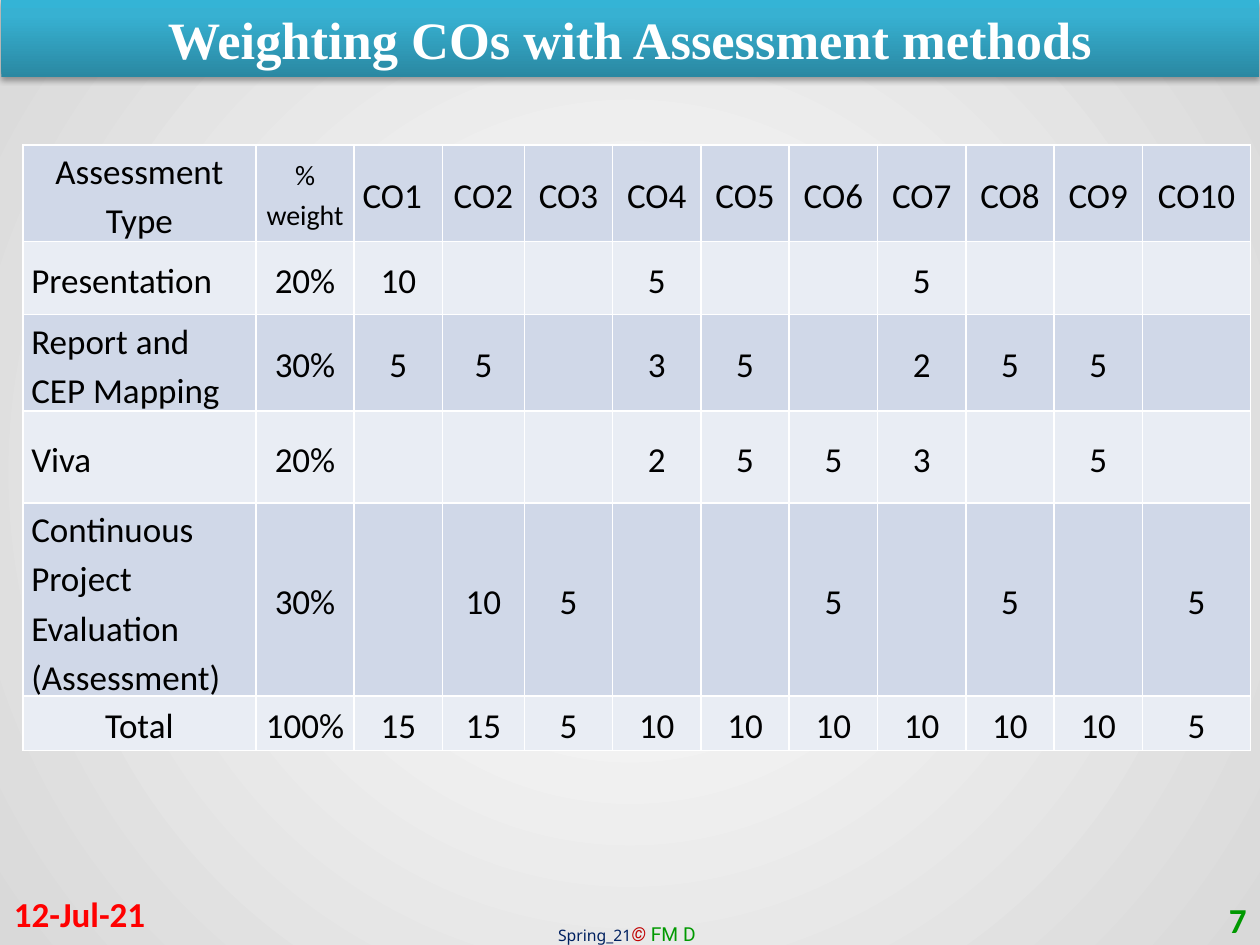
from pptx import Presentation
from pptx.dml.color import RGBColor
from pptx.enum.text import MSO_ANCHOR as Anchor, MSO_AUTO_SIZE as AutoSize, PP_ALIGN as Align
from pptx.oxml import parse_xml
from pptx.util import Cm, Pt

WHITE = RGBColor(0xFF, 0xFF, 0xFF)
BLACK = RGBColor(0x00, 0x00, 0x00)
GREY = RGBColor(0xD9, 0xD9, 0xD9)
TEAL_DARK = RGBColor(0x2A, 0x88, 0xA2)
TEAL = RGBColor(0x37, 0xB1, 0xD2)
TEAL_LIGHT = RGBColor(0x34, 0xB4, 0xD6)
BAND_DARK = RGBColor(0xD0, 0xD8, 0xE8)
BAND_LIGHT = RGBColor(0xE9, 0xED, 0xF4)
RED = RGBColor(0xFF, 0x00, 0x00)
DARK_RED = RGBColor(0xC0, 0x00, 0x00)
NAVY = RGBColor(0x00, 0x20, 0x60)
GREEN = RGBColor(0x00, 0x99, 0x00)

NS = 'xmlns:a="http://schemas.openxmlformats.org/drawingml/2006/main"'
COLUMNS = [4.7, 1.98, 1.78, 1.65] + [1.78] * 7 + [2.18]
ROWS = [1.68, 1.47, 1.85, 1.85, 2.24, 1.09]
SPACED_ROWS = (0, 1, 5)
WEIGHTS = [
    ["Assessment Type", "% weight"] + [f"CO{n}" for n in range(1, 11)],
    ["Presentation", "20%", "10", "", "", "5", "", "", "5", "", "", ""],
    ["Report and CEP Mapping", "30%", "5", "5", "", "3", "5", "", "2", "5", "5", ""],
    ["Viva", "20%", "", "", "", "2", "5", "5", "3", "", "5", ""],
    ["Continuous Project Evaluation (Assessment)", "30%",
     "", "10", "5", "", "", "5", "", "5", "", "5"],
    ["Total", "100%", "15", "15", "5", "10", "10", "10", "10", "10", "10", "5"],
]


def gradient(stops, direction):
    marks = "".join(f'<a:gs pos="{pos * 1000}"><a:srgbClr val="{color}"/></a:gs>'
                    for pos, color in stops)
    return parse_xml(f'<a:gradFill {NS} rotWithShape="1"><a:gsLst>{marks}</a:gsLst>'
                     f'{direction}</a:gradFill>')


def add_span(para, text, color, **formats):
    span = para.add_run()
    span.text = text
    span.font.color.rgb = color
    for key, value in formats.items():
        setattr(span.font, key, value)


def place(shape, box):
    for key, value in zip(("left", "top", "width", "height"), box):
        setattr(shape, key, Cm(value))


def fill_background(page):
    page.background.fill.solid()
    props = page.element.xpath(".//p:bgPr")[0]
    center = '<a:path path="circle"><a:fillToRect l="50000" t="50000" r="50000" b="50000"/></a:path>'
    props.replace(props[0], gradient([(0, WHITE), (100, GREY)], center))


def add_title(page, box):
    title = page.shapes.title
    place(title, box)
    props = title.element.spPr
    props.append(gradient([(0, TEAL_DARK), (80, TEAL), (100, TEAL_LIGHT)],
                          '<a:lin ang="16200000" scaled="0"/>'))
    props.append(parse_xml(
        f'<a:effectLst {NS}><a:outerShdw blurRad="40000" dist="23000" dir="5400000" '
        'rotWithShape="0"><a:srgbClr val="000000"><a:alpha val="35000"/></a:srgbClr>'
        '</a:outerShdw></a:effectLst>'))
    frame = title.text_frame
    frame.vertical_anchor = Anchor.MIDDLE
    frame.auto_size = AutoSize.NONE
    para = frame.paragraphs[0]
    para.alignment = Align.CENTER
    add_span(para, "Weighting COs with Assessment methods", WHITE,
             size=Pt(30), name="Times New Roman", bold=True)


def add_label(page, box, spans, align=Align.LEFT, wrap=True, anchor=Anchor.MIDDLE):
    frame = page.shapes.add_textbox(*map(Cm, box)).text_frame
    frame.word_wrap = wrap
    frame.vertical_anchor = anchor
    para = frame.paragraphs[0]
    para.alignment = align
    for text, color, formats in spans:
        add_span(para, text, color, **formats)


def add_borders(cell):
    props = cell._tc.get_or_add_tcPr()
    # Borders come before the fill
    for index, side in enumerate(("lnL", "lnR", "lnT", "lnB")):
        props.insert(index, parse_xml(
            f'<a:{side} {NS} w="12700"><a:solidFill><a:srgbClr val="{WHITE}"/>'
            f'</a:solidFill></a:{side}>'))


def write_cell(cell, text, row, column):
    formats = {"margin_left": Cm(0.17), "margin_right": Cm(0.17), "margin_top": 0,
               "margin_bottom": 0, "vertical_anchor": Anchor.MIDDLE}
    for key, value in formats.items():
        setattr(cell, key, value)
    para = cell.text_frame.paragraphs[0]
    is_left = text == "CO1" or (column == 0 and 0 < row < len(ROWS) - 1)
    para.alignment = Align.LEFT if is_left else Align.CENTER
    para.line_spacing = 1.15
    para.space_after = Pt(10 if row in SPACED_ROWS and text != "Total" else 0)
    add_span(para, text, BLACK, size=Pt(16 if text == "% weight" else 20), name="Calibri")


def add_weights(page, box):
    holder = page.shapes.add_table(len(ROWS), len(COLUMNS), *map(Cm, box))
    table = holder.table
    table.first_row = table.horz_banding = False
    for column, width in zip(table.columns, COLUMNS):
        column.width = Cm(width)
    for row, height in zip(table.rows, ROWS):
        row.height = Cm(height)
    holder.height = Cm(box[3])
    for row, texts in enumerate(WEIGHTS):
        for column, text in enumerate(texts):
            cell = table.cell(row, column)
            cell.fill.solid()
            cell.fill.fore_color.rgb = BAND_LIGHT if row % 2 else BAND_DARK
            add_borders(cell)
            if text:
                write_cell(cell, text, row, column)


def add_footer(page):
    bold = {"size": Pt(20), "name": "Calibri", "bold": True}
    mark = {"size": Pt(11), "name": "Roboto"}
    add_label(page, (11, 18.47, 3.45, 0.74), [
        ("Spring_21", NAVY, {"size": Pt(9), "name": "Noto Sans"}),
        ("© ", DARK_RED, {**mark, "italic": True}),
        ("FM D", GREEN, mark),
    ], wrap=False, anchor=Anchor.TOP)
    add_label(page, (0.03, 17.91, 5.92, 1.02), [("12-Jul-21", RED, bold)])
    add_label(page, (19.46, 18.03, 5.92, 1.02), [("7", GREEN, bold)], align=Align.RIGHT)


def main():
    deck = Presentation()
    deck.slide_width, deck.slide_height = Cm(25.4), Cm(19.05)
    page = deck.slides.add_slide(deck.slide_layouts[5])
    fill_background(page)
    add_title(page, (0.03, 0, 25.35, 1.55))
    add_footer(page)
    add_weights(page, (0.46, 2.92, 24.74, 12.04))
    deck.save("out.pptx")


if __name__ == "__main__":
    main()
